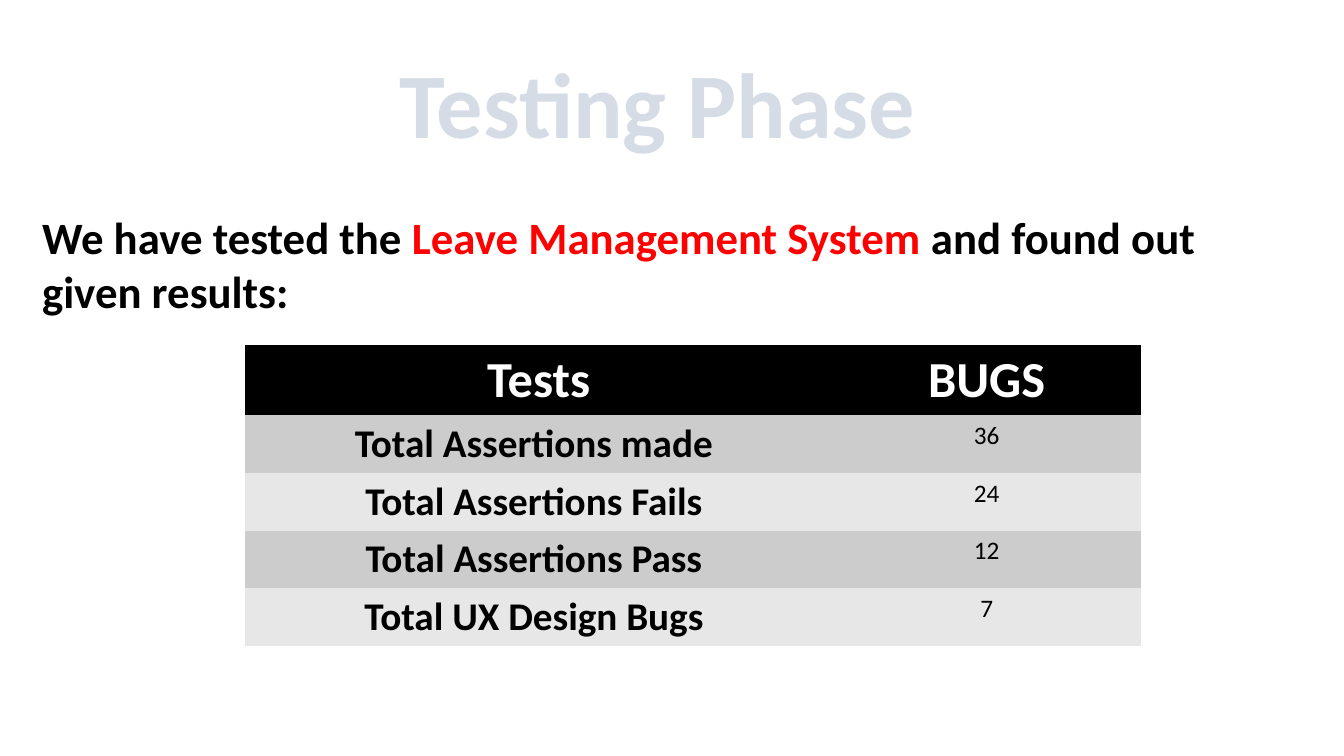
from dataclasses import dataclass

from pptx import Presentation
from pptx.dml.color import RGBColor as Color
from pptx.enum.text import MSO_ANCHOR as Anchor, PP_ALIGN as Align
from pptx.oxml.ns import qn
from pptx.util import Cm, Pt


@dataclass(frozen=True)
class Theme:
    font: str = "Calibri"
    title_size: int = 66
    header_size: int = 36
    intro_size: int = 32
    label_size: int = 28
    value_size: int = 18
    title: str = "D6DCE5"
    text: str = "000000"
    accent: str = "FF0000"
    header_text: str = "FFFFFF"
    header_fill: str = "000000"
    bands: tuple = ("CCCCCC", "E7E7E7")


THEME = Theme()
PLAIN_TABLE_STYLE = "{2D5ABB26-0587-4C30-8999-92F81FD0307C}"
RESULTS = [
    ("Total Assertions made", 36),
    ("Total Assertions Fails", 24),
    ("Total Assertions Pass", 12),
    ("Total UX Design Bugs", 7),
]


def style_font(font, size, color, bold=True):
    font.name = THEME.font
    font.size = Pt(size)
    font.bold = bold
    font.color.rgb = Color.from_string(color)


def add_text(slide, box, runs, size, align=Align.LEFT, anchor=Anchor.TOP, wrap=True):
    frame = slide.shapes.add_textbox(*map(Cm, box)).text_frame
    frame.word_wrap = wrap
    frame.vertical_anchor = anchor
    paragraph = frame.paragraphs[0]
    paragraph.alignment = align
    style_font(paragraph.font, size, THEME.text)
    for text, color in runs:
        run = paragraph.add_run()
        run.text = text
        run.font.color.rgb = Color.from_string(color)


def fill_cell(cell, text, fill, size, color, bold=True):
    cell.fill.solid()
    cell.fill.fore_color.rgb = Color.from_string(fill)
    cell.text = text
    paragraph = cell.text_frame.paragraphs[0]
    paragraph.alignment = Align.CENTER
    style_font(paragraph.font, size, color, bold)


def add_results_table(slide, left, top, widths, header_height, row_height):
    height = header_height + row_height * len(RESULTS)
    frame = slide.shapes.add_table(
        len(RESULTS) + 1, len(widths), Cm(left), Cm(top), Cm(sum(widths)), Cm(height)
    )
    table = frame.table
    frame._element.find(".//" + qn("a:tableStyleId")).text = PLAIN_TABLE_STYLE
    for column, width in zip(table.columns, widths):
        column.width = Cm(width)
    for index, row in enumerate(table.rows):
        row.height = Cm(row_height if index else header_height)
    for column, heading in enumerate(("Tests", "BUGS")):
        fill_cell(table.cell(0, column), heading, THEME.header_fill,
                  THEME.header_size, THEME.header_text)
    for row, (label, count) in enumerate(RESULTS, start=1):
        band = THEME.bands[(row - 1) % len(THEME.bands)]
        label_cell = table.cell(row, 0)
        fill_cell(label_cell, label, band, THEME.label_size, THEME.text)
        label_cell.margin_right = Cm(0.5)
        fill_cell(table.cell(row, 1), str(count), band, THEME.value_size,
                  THEME.text, bold=False)


def main():
    presentation = Presentation()
    presentation.slide_width = Cm(33.87)
    presentation.slide_height = Cm(19.05)
    slide = presentation.slides.add_slide(presentation.slide_layouts[6])

    intro = [
        ("We have tested the ", THEME.text),
        ("Leave Management System ", THEME.accent),
        ("and found out given results:", THEME.text),
    ]
    add_text(slide, (0.81, 3.07, 32, 5.05), intro, THEME.intro_size,
             anchor=Anchor.BOTTOM)
    add_results_table(slide, 6.17, 8.69, (14.81, 7.77), 1.76, 1.45)
    add_text(slide, (9.73, 1.04, 13.67, 3.07), [("Testing Phase", THEME.title)],
             THEME.title_size, align=Align.CENTER, wrap=False)

    presentation.save("out.pptx")


main()
